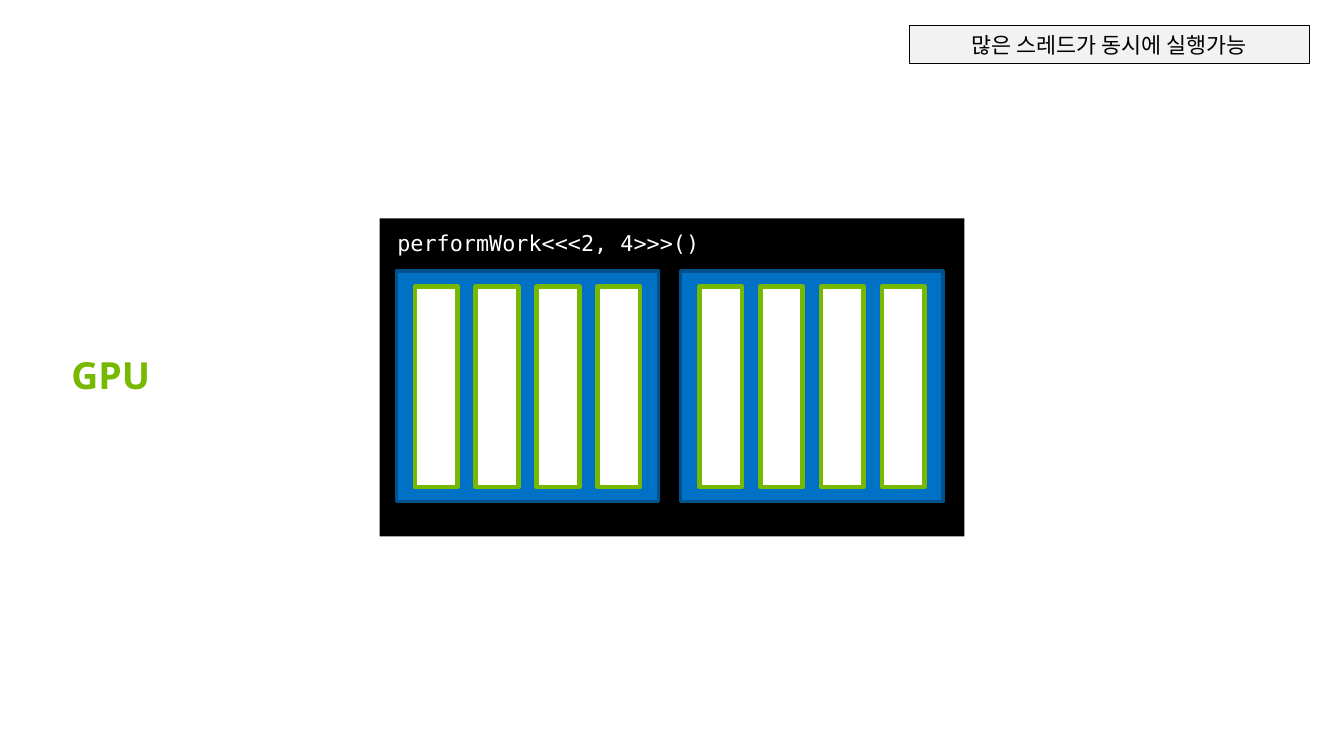
from dataclasses import dataclass
from pptx import Presentation
from pptx.dml.color import RGBColor
from pptx.enum.shapes import MSO_SHAPE
from pptx.enum.text import MSO_ANCHOR, PP_ALIGN
from pptx.util import Inches, Pt


@dataclass(frozen=True)
class Theme:
    black: str = "000000"
    white: str = "FFFFFF"
    gray: str = "F2F2F2"
    blue: str = "0071C5"
    navy: str = "00528F"
    green: str = "76B900"
    body: int = 14
    head: int = 24
    sans: str = "Arial"
    mono: str = "DejaVu Sans Mono"
    label: str = "Noto Sans"


THEME = Theme()


def rect(shapes, box, fill, line=None, width=0):
    shape = shapes.add_shape(MSO_SHAPE.RECTANGLE, *map(Inches, box))
    shape.shadow.inherit = False
    shape.fill.solid()
    shape.fill.fore_color.rgb = RGBColor.from_string(fill)
    if line:
        shape.line.color.rgb = RGBColor.from_string(line)
        shape.line.width = Pt(width)
    else:
        shape.line.fill.background()
    return shape


def write(shape, text, color, font, para=None, anchor=MSO_ANCHOR.TOP, wrap=True):
    frame = shape.text_frame
    frame.word_wrap = wrap
    frame.vertical_anchor = anchor
    line = frame.paragraphs[0]
    for key, value in {"alignment": PP_ALIGN.LEFT, **(para or {})}.items():
        setattr(line, key, value)
    run = line.add_run()
    run.text = text
    for key, value in font.items():
        setattr(run.font, key, value)
    run.font.color.rgb = RGBColor.from_string(color)


# One block with its row of threads
def block(shapes, x, y, w, h, count=4):
    rect(shapes, (x, y, w, h), THEME.blue, THEME.navy, 2)
    pad, top, wide = 0.165, 0.14, 0.38
    step = (w - 2 * pad - wide) / (count - 1)
    for i in range(count):
        rect(shapes, (x + pad + i * step, y + top, wide, h - 2 * top + 0.01),
             THEME.white, THEME.green, 3)


# Kernel launch: black panel, call and grid of blocks
def kernel(slide, x, y, w, h):
    shapes = slide.shapes.add_group_shape().shapes
    rect(shapes, (x, y, w, h), THEME.black)
    call = rect(shapes, (x + 0.06, y + 0.09, 3.06, 0.25), THEME.black)
    write(call, "performWork<<<2, 4>>>()", THEME.white,
          {"name": THEME.mono, "size": Pt(THEME.body)},
          anchor=MSO_ANCHOR.MIDDLE)
    for i in range(2):
        block(shapes, x + 0.15 + i * 2.54, y + 0.47, 2.34, 2.06)


# Caption at the top right
def caption(slide, x, y, w, h):
    shape = rect(slide.shapes, (x, y, w, h), THEME.gray, THEME.black, 0.75)
    write(shape, "많은 스레드가 동시에 실행가능", THEME.black,
          {"name": THEME.sans, "size": Pt(THEME.body)},
          {"alignment": PP_ALIGN.CENTER})


# Device name at the left
def device(slide, x, y, w, h):
    shape = slide.shapes.add_textbox(*map(Inches, (x, y, w, h)))
    write(shape, "GPU", THEME.green,
          {"name": THEME.label, "size": Pt(THEME.head), "bold": True},
          {"line_spacing": 0.9}, MSO_ANCHOR.BOTTOM, False)


deck = Presentation()
deck.slide_width, deck.slide_height = Inches(12), Inches(6.75)
slide = deck.slides.add_slide(deck.slide_layouts[6])
kernel(slide, 3.39, 1.95, 5.22, 2.84)
caption(slide, 8.12, 0.23, 3.57, 0.34)
device(slide, 0.54, 3.14, 0.97, 0.46)
deck.save("out.pptx")
